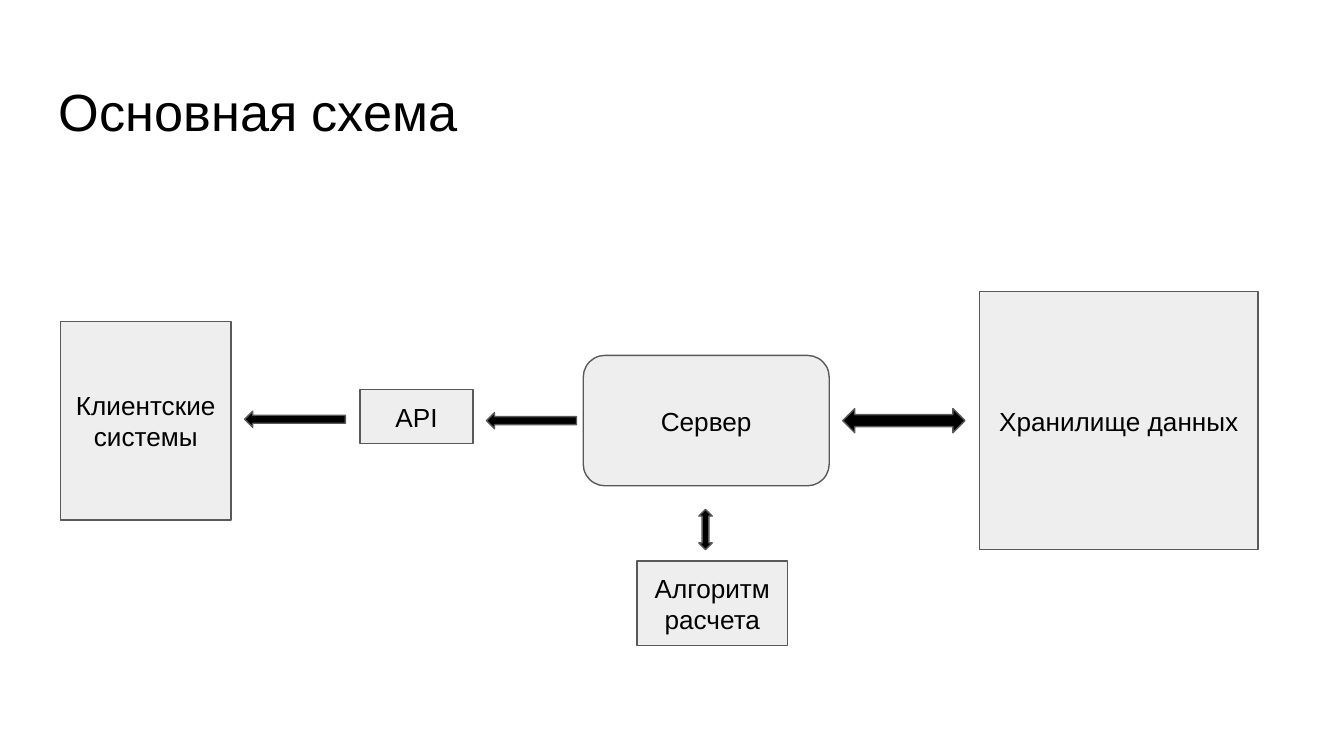
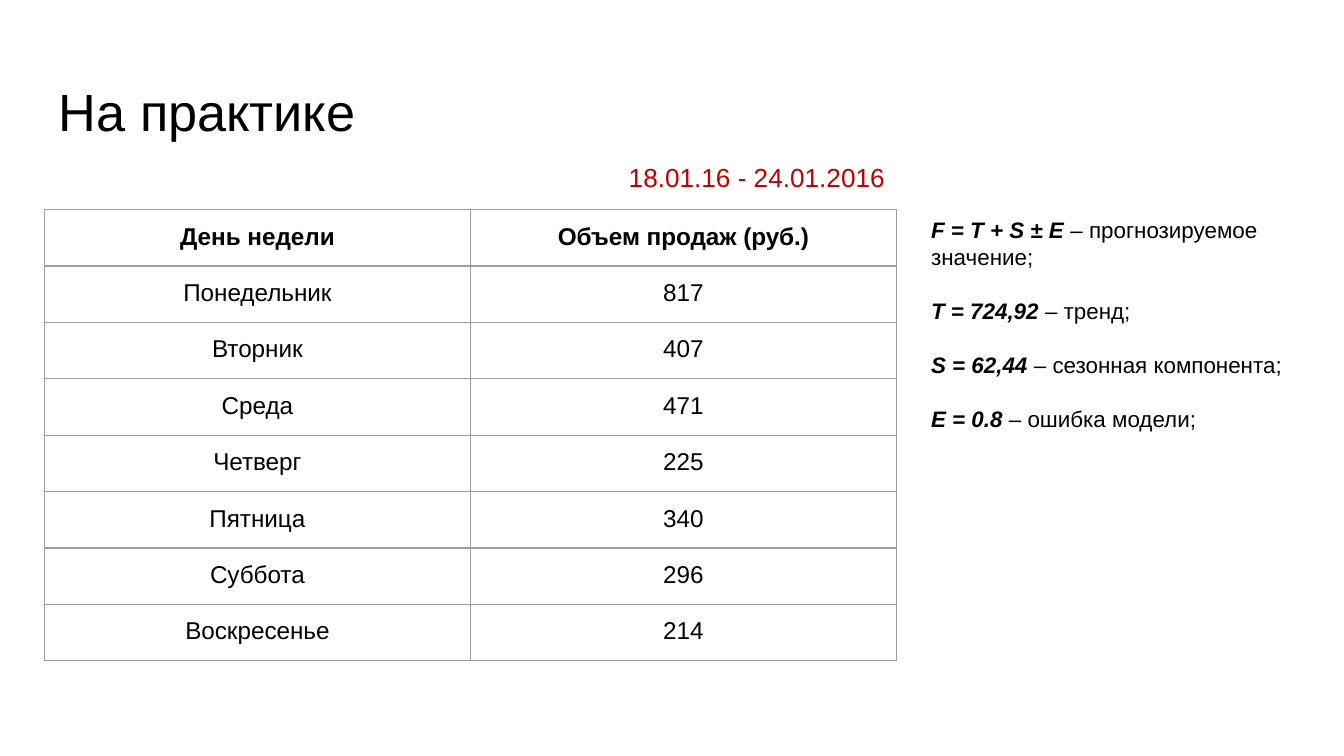
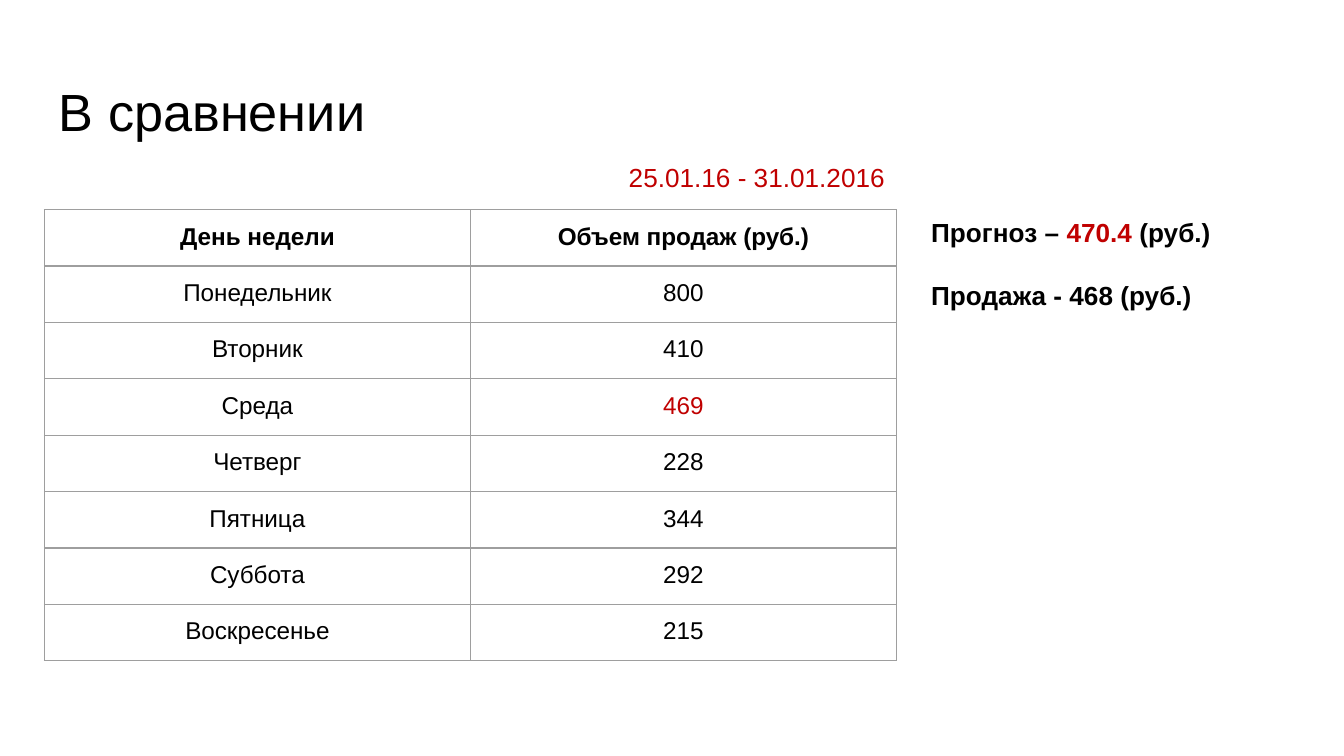
from collections import namedtuple

from lxml import etree
from pptx import Presentation
from pptx.dml.color import RGBColor
from pptx.enum.shapes import MSO_SHAPE as Shape
from pptx.enum.text import MSO_ANCHOR as Anchor, PP_ALIGN as Align
from pptx.oxml.ns import qn
from pptx.util import Inches, Pt

# Shared style
FONT = "Arial"
COLORS = {"text": "000000", "accent": "C00000", "block": "EEEEEE",
          "outline": "595959", "grid": "9E9E9E"}

Box = namedtuple("Box", "left top width height")
TITLE = Box(0.34, 0.49, 9.32, 0.63)
SCHEME = Box(0.45, 2.17, 8.91, 2.63)
SALES = Box(0.33, 1.56, 6.34, 3.36)
PERIOD = Box(4.58, 1.15, 2.17, 0.34)
NOTES = Box(6.83, 1.56, 2.83, 1.72)
RESULT = Box(6.83, 1.56, 2.42, 0.81)

DAYS = ["Понедельник", "Вторник", "Среда", "Четверг", "Пятница", "Суббота",
        "Воскресенье"]


def rgb(name):
    return RGBColor.from_string(COLORS[name])


def inches(box):
    return [Inches(length) for length in box]


def add_span(para, text, size, color="text", bold=False, italic=False):
    span = para.add_run()
    span.text = text
    font = span.font
    font.name, font.size = FONT, Pt(size)
    font.bold, font.italic = bold, italic
    font.color.rgb = rgb(color)


def set_insets(holder, horizontal, vertical):
    holder.margin_left = holder.margin_right = Inches(horizontal)
    holder.margin_top = holder.margin_bottom = Inches(vertical)


def add_text(page, box, paras, size, inset=0.05, gap=0):
    """Each paragraph is a list of (text, style) spans."""
    frame = page.shapes.add_textbox(*inches(box)).text_frame
    frame.word_wrap = True
    set_insets(frame, 0.1, inset)
    for index, spans in enumerate(paras):
        para = frame.add_paragraph() if index else frame.paragraphs[0]
        para.space_before = Pt(gap if index else 0)
        for text, style in spans:
            add_span(para, text, size, **style)


def add_page(deck, title):
    page = deck.slides.add_slide(deck.slide_layouts[6])
    add_text(page, TITLE, [[(title, {})]], 28, inset=0.1)
    return page


def add_figure(page, kind, box, fill):
    figure = page.shapes.add_shape(kind, *inches(box))
    figure.shadow.inherit = False
    figure.fill.solid()
    figure.fill.fore_color.rgb = rgb(fill)
    figure.line.color.rgb = rgb("outline")
    figure.line.width = Pt(0.75)
    return figure


def add_block(page, kind, box, label):
    frame = add_figure(page, kind, box, "block").text_frame
    frame.word_wrap = True
    frame.vertical_anchor = Anchor.MIDDLE
    set_insets(frame, 0.1, 0.1)
    para = frame.paragraphs[0]
    para.alignment = Align.CENTER
    add_span(para, label, 14)


def add_scheme(page, area):
    def place(left, middle, width, height):
        return Box(area.left + left, area.top + middle - height / 2,
                   width, height)

    axis = 0.96  # middle line of the main chain

    # Blocks
    for kind, label, box in [
        (Shape.ROUNDED_RECTANGLE, "Сервер", place(3.89, axis, 1.83, 0.97)),
        (Shape.RECTANGLE, "Хранилище данных", place(6.84, axis, 2.07, 1.92)),
        (Shape.RECTANGLE, "API", place(2.23, axis - 0.03, 0.84, 0.4)),
        (Shape.RECTANGLE, "Клиентские системы", place(0, axis, 1.27, 1.48)),
        (Shape.RECTANGLE, "Алгоритм расчета", place(4.29, 2.32, 1.12, 0.63)),
    ]:
        add_block(page, kind, box, label)

    # Arrows between them
    for kind, box in [
        (Shape.LEFT_RIGHT_ARROW, place(5.82, axis, 0.91, 0.18)),
        (Shape.LEFT_ARROW, place(3.17, axis, 0.67, 0.12)),
        (Shape.LEFT_ARROW, place(1.37, axis - 0.01, 0.75, 0.12)),
        (Shape.UP_DOWN_ARROW, place(4.75, 1.77, 0.1, 0.3)),
    ]:
        add_figure(page, kind, box, "text")


def add_borders(cell):
    props = cell._tc.get_or_add_tcPr()
    for index, side in enumerate(("lnL", "lnR", "lnT", "lnB")):
        line = etree.Element(qn(f"a:{side}"), w=str(Pt(0.75)))
        fill = etree.SubElement(line, qn("a:solidFill"))
        etree.SubElement(fill, qn("a:srgbClr"), val=COLORS["grid"])
        props.insert(index, line)


def add_sales_table(page, area, sales, marked_day=None):
    rows = [("День недели", "Объем продаж (руб.)"), *zip(DAYS, sales)]
    table = page.shapes.add_table(len(rows), 2, *inches(area)).table
    table.horz_banding = False
    for column in table.columns:
        column.width = Inches(area.width / 2)
    for row_index, row in enumerate(rows):
        table.rows[row_index].height = Inches(area.height / len(rows))
        for column_index, value in enumerate(row):
            cell = table.cell(row_index, column_index)
            cell.fill.background()
            set_insets(cell, 0.1, 0.1)
            add_borders(cell)
            para = cell.text_frame.paragraphs[0]
            para.alignment = Align.CENTER
            marked = column_index == 1 and row[0] == marked_day
            add_span(para, str(value), 13, "accent" if marked else "text",
                     bold=row_index == 0)


def add_sales_page(deck, title, period, sales, marked_day=None):
    page = add_page(deck, title)
    add_sales_table(page, SALES, sales, marked_day)
    add_text(page, PERIOD, [[(period, {"color": "accent"})]], 14)
    return page


# Widescreen 16:9
deck = Presentation()
deck.slide_width = Inches(10)
deck.slide_height = deck.slide_width * 9 // 16

# Slide 1: system scheme
add_scheme(add_page(deck, "Основная схема"), SCHEME)

# Slide 2: sales and the forecast formula
page = add_sales_page(deck, "На практике", "18.01.16 - 24.01.2016",
                      [817, 407, 471, 225, 340, 296, 214])
formula = {"bold": True, "italic": True}
terms = [("F = T + S ± E ", "– прогнозируемое значение;"),
         ("Т = 724,92 ", "– тренд;"),
         ("S = 62,44 ", "– сезонная компонента;"),
         ("Е = 0.8", " – ошибка модели;")]
add_text(page, NOTES,
         [[(term, formula), (meaning, {})] for term, meaning in terms],
         12, gap=14.5)

# Slide 3: forecast against the real sale
page = add_sales_page(deck, "В сравнении", "25.01.16 - 31.01.2016",
                      [800, 410, 469, 228, 344, 292, 215], marked_day="Среда")
strong = {"bold": True}
add_text(page, RESULT,
         [[("Прогноз – ", strong),
           ("470.4", {"bold": True, "color": "accent"}),
           (" (руб.)", strong)],
          [("Продажа - 468 (руб.)", strong)]],
         14, gap=17)

deck.save("out.pptx")
